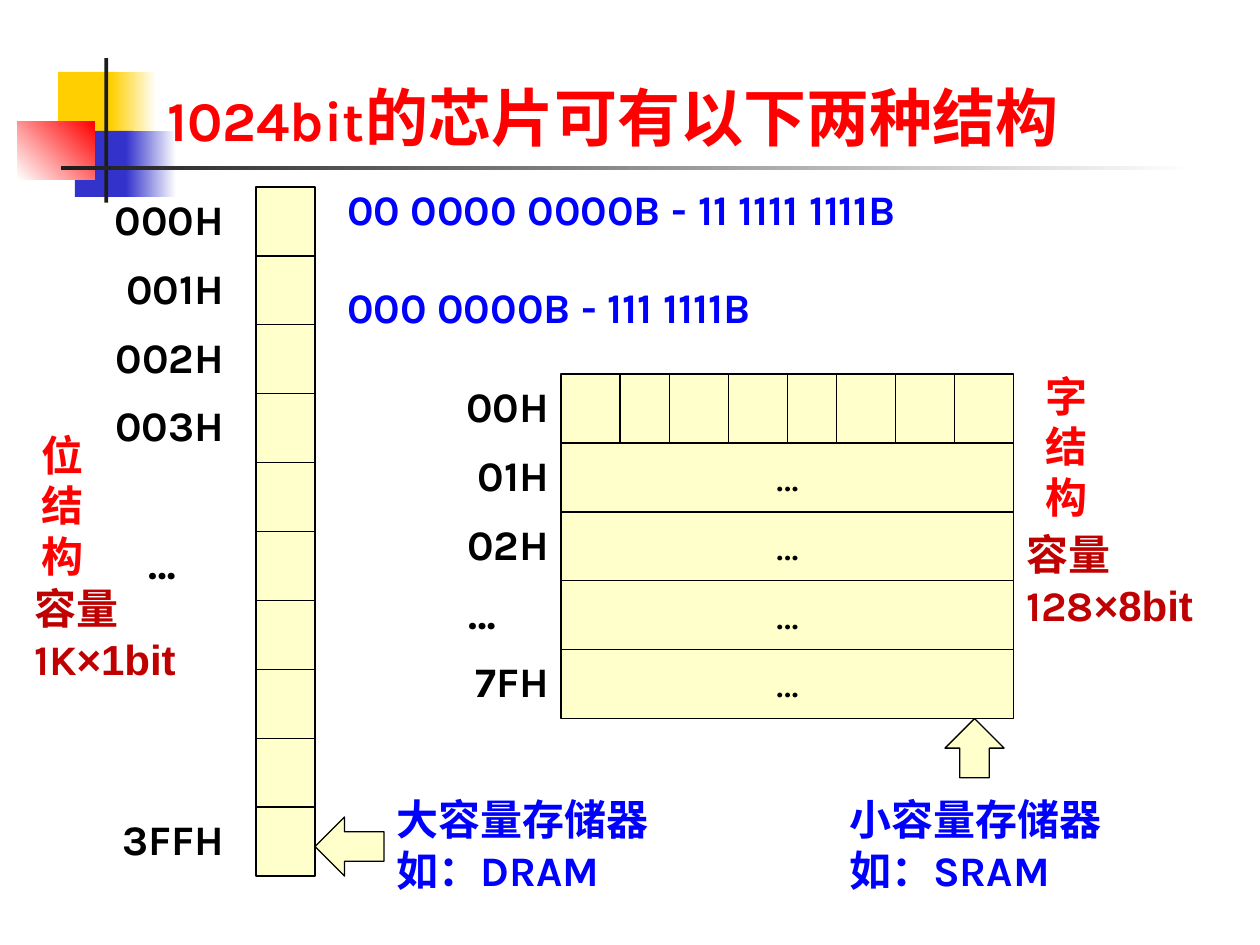
from itertools import accumulate

from lxml import etree
from pptx import Presentation
from pptx.dml.color import RGBColor
from pptx.enum.shapes import MSO_CONNECTOR, MSO_SHAPE
from pptx.enum.text import MSO_ANCHOR, MSO_AUTO_SIZE, PP_ALIGN
from pptx.oxml.ns import qn
from pptx.util import Inches, Pt

RECT, LEFT_ARROW, UP_ARROW = MSO_SHAPE.RECTANGLE, MSO_SHAPE.LEFT_ARROW, MSO_SHAPE.UP_ARROW
STRAIGHT = MSO_CONNECTOR.STRAIGHT
TOP, MIDDLE = MSO_ANCHOR.TOP, MSO_ANCHOR.MIDDLE
LEFT, CENTER, RIGHT = PP_ALIGN.LEFT, PP_ALIGN.CENTER, PP_ALIGN.RIGHT
NO_AUTOFIT = MSO_AUTO_SIZE.NONE

WHITE = RGBColor(0xFF, 0xFF, 0xFF)
BLACK = RGBColor(0, 0, 0)
INK = RGBColor(0x1C, 0x1C, 0x1C)
RED = RGBColor(0xFF, 0, 0)
DARK_RED = RGBColor(0xC0, 0, 0)
BLUE = RGBColor(0, 0, 0xFF)
NAVY = RGBColor(0x33, 0x33, 0xCC)
GOLD = RGBColor(0xFF, 0xCF, 0x01)
CREAM = RGBColor(0xFF, 0xFF, 0xCC)

KARLA, ARIAL, CJK = "Karla", "Arial", "Noto Sans CJK JP"
COLUMNS, ROWS = 128, 96
UNIT = Inches(10) / COLUMNS
ROW = 7
THIN = Pt(0.75)


def grid(*lengths):
    return [round(length * UNIT) for length in lengths]


def style_run(run, color, font=KARLA, size=24, bold=True):
    run.font.name, run.font.size, run.font.bold = font, Pt(size), bold
    run.font.color.rgb = color
    etree.SubElement(run.font._element, qn("a:ea")).set("typeface", font)


def write(frame, text, color, align=LEFT, bold=True):
    frame.word_wrap = True
    frame.vertical_anchor = TOP
    frame.text = text
    for paragraph in frame.paragraphs:
        paragraph.alignment = align
        for run in paragraph.runs:
            style_run(run, color, bold=bold)


def add_label(slide, box, text, color, align=LEFT):
    label = slide.shapes.add_textbox(*grid(*box))
    write(label.text_frame, text, color, align)
    return label


def add_cell(slide, box, kind=RECT):
    cell = slide.shapes.add_shape(kind, *grid(*box))
    cell.shadow.inherit = False
    cell.fill.solid()
    cell.fill.fore_color.rgb = CREAM
    cell.line.color.rgb = BLACK
    cell.line.width = THIN
    return cell


def add_ornament(slide, box, start, end=None, angle=0):
    block = slide.shapes.add_shape(RECT, *grid(*box))
    block.shadow.inherit = False
    block.line.fill.background()
    if end is None:
        block.fill.solid()
        block.fill.fore_color.rgb = start
        return
    block.fill.gradient()
    block.fill.gradient_angle = angle
    for stop, color, position in zip(block.fill.gradient_stops, (start, end), (0, 1)):
        stop.color.rgb = color
        stop.position = position


def add_ornaments(slide, left, top):
    for x, y, width, height, *paint in (
        (4.1, 1.4, 6.1, 6.7, GOLD),
        (9.5, 1.4, 4.6, 6.7, GOLD, WHITE),
        (5.8, 7.4, 5.9, 6.7, NAVY),
        (11, 7.4, 5.1, 6.7, NAVY, WHITE),
        (0, 6.4, 7.8, 5.9, WHITE, RED, 45),
        (8.8, 0, 0.4, 14.7, INK),
        (4.4, 11, 115.2, 0.4, INK, WHITE),
    ):
        add_ornament(slide, (left + x, top + y, width, height), *paint)


def add_title(slide, box):
    title = slide.shapes.title
    title.element.getparent().append(title.element)
    title.left, title.top, title.width, title.height = grid(*box)
    frame = title.text_frame
    frame.auto_size = NO_AUTOFIT
    frame.vertical_anchor = MIDDLE
    frame.margin_left = grid(5.4)[0]
    paragraph = frame.paragraphs[0]
    paragraph.alignment = LEFT
    for text, font, size in (("1024bit", KARLA, 32), ("的芯片可有以下两种结构", CJK, 36)):
        run = paragraph.add_run()
        run.text = text
        style_run(run, RED, font, size)


def add_addresses(slide, left, top, width, addresses):
    for row, address in addresses.items():
        align = CENTER if address == "…" else RIGHT
        add_label(slide, (left, top + row * ROW, width, ROW), address, BLACK, align)


def add_bit_structure(slide, left, top):
    for row in range(10):
        add_cell(slide, (left, top + row * ROW, 6, ROW))
    addresses = {0: "000H", 1: "001H", 2: "002H", 3: "003H", 5: "…", 9: "3FFH"}
    add_addresses(slide, left - 17, top, 15, addresses)
    add_cell(slide, (left + 6, top + 64, 7, 6), LEFT_ARROW)


def add_word_structure(slide, left, top):
    for row in range(5):
        word = add_cell(slide, (left, top + row * ROW, 46, ROW))
        if row:
            write(word.text_frame, "…", BLACK, CENTER, bold=False)
    for offset in accumulate((6, 5, 6, 6, 5, 6, 6)):
        x = left + offset
        divider = slide.shapes.add_connector(STRAIGHT, *grid(x, top, x, top + ROW))
        divider.line.color.rgb = BLACK
        divider.line.width = THIN
        etree.SubElement(divider.element.spPr, qn("a:effectLst"))
    add_addresses(slide, left - 16, top, 16, dict(enumerate(("00H", "01H", "02H", "…", "7FH"))))
    add_cell(slide, (left + 39, top + 35, 6, 6), UP_ARROW)


def add_capacity(slide, left, top, words, bits):
    capacity = add_label(slide, (left, top, 23.4, 11.6), "容量" + words, DARK_RED)
    run = capacity.text_frame.paragraphs[0].add_run()
    run.text = bits
    style_run(run, DARK_RED, ARIAL)


def main():
    deck = Presentation()
    deck.slide_width, deck.slide_height = grid(COLUMNS, ROWS)
    slide = deck.slides.add_slide(deck.slide_layouts[5])
    add_ornaments(slide, 1.8, 5.9)
    add_title(slide, (11.6, 6.7, 105.9, 10.2))
    add_bit_structure(slide, 26, 19)
    add_word_structure(slide, 57, 38)
    for box, text, color in (
        ((34, 18, 70, 7), "00 0000 0000B - 11 1111 1111B", BLUE),
        ((34, 28, 70, 7), "000 0000B - 111 1111B", BLUE),
        ((3, 43, 6.8, 16.8), "位\n结\n构", RED),
        ((105, 37, 6.8, 16.8), "字\n结\n构", RED),
        ((39, 80, 39, 11.5), "大容量存储器\n如：DRAM", BLUE),
        ((85, 80, 39, 11.5), "小容量存储器\n如：SRAM", BLUE),
    ):
        add_label(slide, box, text, color)
    add_capacity(slide, 2.2, 58.6, "1K", "×1bit")
    add_capacity(slide, 103, 53.1, "128", "×8bit")
    deck.save("out.pptx")


if __name__ == "__main__":
    main()
